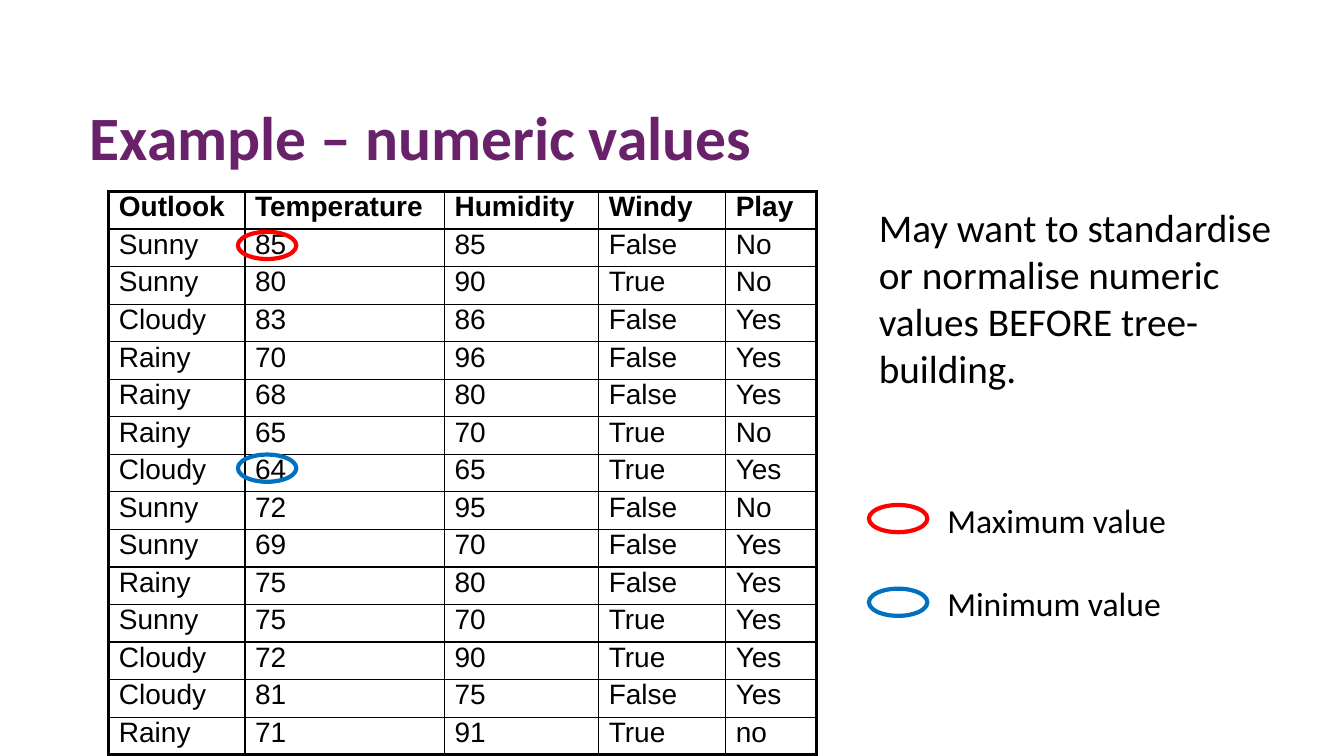
from lxml import etree
from pptx import Presentation
from pptx.dml.color import RGBColor
from pptx.enum.shapes import MSO_SHAPE as Shape
from pptx.enum.text import MSO_ANCHOR as Anchor, MSO_AUTO_SIZE as AutoSize, PP_ALIGN as Align
from pptx.oxml.ns import qn
from pptx.util import Pt

COLORS = {"title": "69216A", "text": "000000", "border": "000000",
          "cell": "FFFFFF", "maximum": "FF0000", "minimum": "0070C0"}

WEATHER = [row.split() for row in """Outlook Temperature Humidity Windy Play
Sunny 85 85 False No
Sunny 80 90 True No
Cloudy 83 86 False Yes
Rainy 70 96 False Yes
Rainy 68 80 False Yes
Rainy 65 70 True No
Cloudy 64 65 True Yes
Sunny 72 95 False No
Sunny 69 70 False Yes
Rainy 75 80 False Yes
Sunny 75 70 True Yes
Cloudy 72 90 True Yes
Cloudy 81 75 False Yes
Rainy 71 91 True no""".splitlines()]

COLUMN_WIDTHS = [97.2, 142.56, 110.16, 90.72, 64.8]
ROW_HEIGHT = 26.83
TABLE_LEFT, TABLE_TOP = 77.76, 136.8
LEGEND_LEFT = 620.64


def color(name):
    return RGBColor.from_string(COLORS[name])


def write(frame, text, size, font="Calibri", ink="text", bold=False, spacing=None):
    paragraph = frame.paragraphs[0]
    paragraph.alignment = Align.LEFT
    paragraph.line_spacing = spacing
    run = paragraph.add_run()
    run.text = text
    run.font.name = font
    run.font.size = Pt(size)
    run.font.bold = bold
    run.font.color.rgb = color(ink)


class WeatherSlide:
    thin, thick, ring_line = 1, 2.25, 3
    ring_width, ring_height = 41.76, 19.44

    def __init__(self, presentation):
        self.slide = presentation.slides.add_slide(presentation.slide_layouts[5])
        self.shapes = self.slide.shapes

    def title(self, text, left, top, width, height):
        shape = self.shapes.title
        shape.left, shape.top, shape.width, shape.height = map(Pt, (left, top, width, height))
        frame = shape.text_frame
        frame.vertical_anchor = Anchor.TOP
        frame.auto_size = AutoSize.NONE
        write(frame, text, 44, ink="title", bold=True, spacing=0.9)

    def text(self, text, left, top, width, height, size):
        frame = self.shapes.add_textbox(*map(Pt, (left, top, width, height))).text_frame
        frame.word_wrap = True
        frame.auto_size = AutoSize.SHAPE_TO_FIT_TEXT
        write(frame, text, size)

    def ring(self, kind, left, top):
        shape = self.shapes.add_shape(
            Shape.OVAL, Pt(left), Pt(top), Pt(self.ring_width), Pt(self.ring_height))
        shape.shadow.inherit = False
        shape.fill.background()
        shape.line.color.rgb = color(kind)
        shape.line.width = Pt(self.ring_line)

    def border(self, cell, side, width):
        line = etree.SubElement(cell._tc.get_or_add_tcPr(), qn(f"a:ln{side}"), w=str(Pt(width)))
        fill = etree.SubElement(line, qn("a:solidFill"))
        etree.SubElement(fill, qn("a:srgbClr"), val=COLORS["border"])

    def table(self, rows, left, top, widths, row_height):
        last_row, last_column = len(rows) - 1, len(widths) - 1
        table = self.shapes.add_table(
            len(rows), len(widths), Pt(left), Pt(top),
            Pt(sum(widths)), Pt(row_height * len(rows))).table
        table.first_row = table.horz_banding = False
        for column, width in zip(table.columns, widths):
            column.width = Pt(width)
        for r, values in enumerate(rows):
            table.rows[r].height = Pt(row_height)
            for c, value in enumerate(values):
                cell = table.cell(r, c)
                cell.margin_left = cell.margin_right = Pt(7.2)
                cell.margin_top, cell.margin_bottom = Pt(0), Pt(2.88)
                outer = {"L": c == 0, "R": c == last_column, "T": r == 0, "B": r == last_row}
                for side, is_outer in outer.items():
                    self.border(cell, side, self.thick if is_outer else self.thin)
                cell.fill.solid()
                cell.fill.fore_color.rgb = color("cell")
                write(cell.text_frame, value, 20, font="Arial", bold=r == 0)


def main():
    presentation = Presentation()
    presentation.slide_width, presentation.slide_height = Pt(960), Pt(540)
    weather = WeatherSlide(presentation)
    weather.title("Example – numeric values", 56.88, 72.72, 825.84, 115.2)
    weather.table(WEATHER, TABLE_LEFT, TABLE_TOP, COLUMN_WIDTHS, ROW_HEIGHT)
    weather.text("May want to standardise or normalise numeric values BEFORE tree-building.",
                 LEGEND_LEFT, 141.84, 324.72, 143.28, size=28)
    legend = [("maximum", "Maximum value", 165.6, 360.72),
              ("minimum", "Minimum value", 324.72, 420.48)]
    for kind, label, value_top, legend_top in legend:
        weather.ring(kind, 169.92, value_top)
        weather.ring(kind, LEGEND_LEFT, legend_top)
        weather.text(label, 669.6, legend_top - 7.5, 187.2, 36, size=24)
    presentation.save("out.pptx")


if __name__ == "__main__":
    main()
